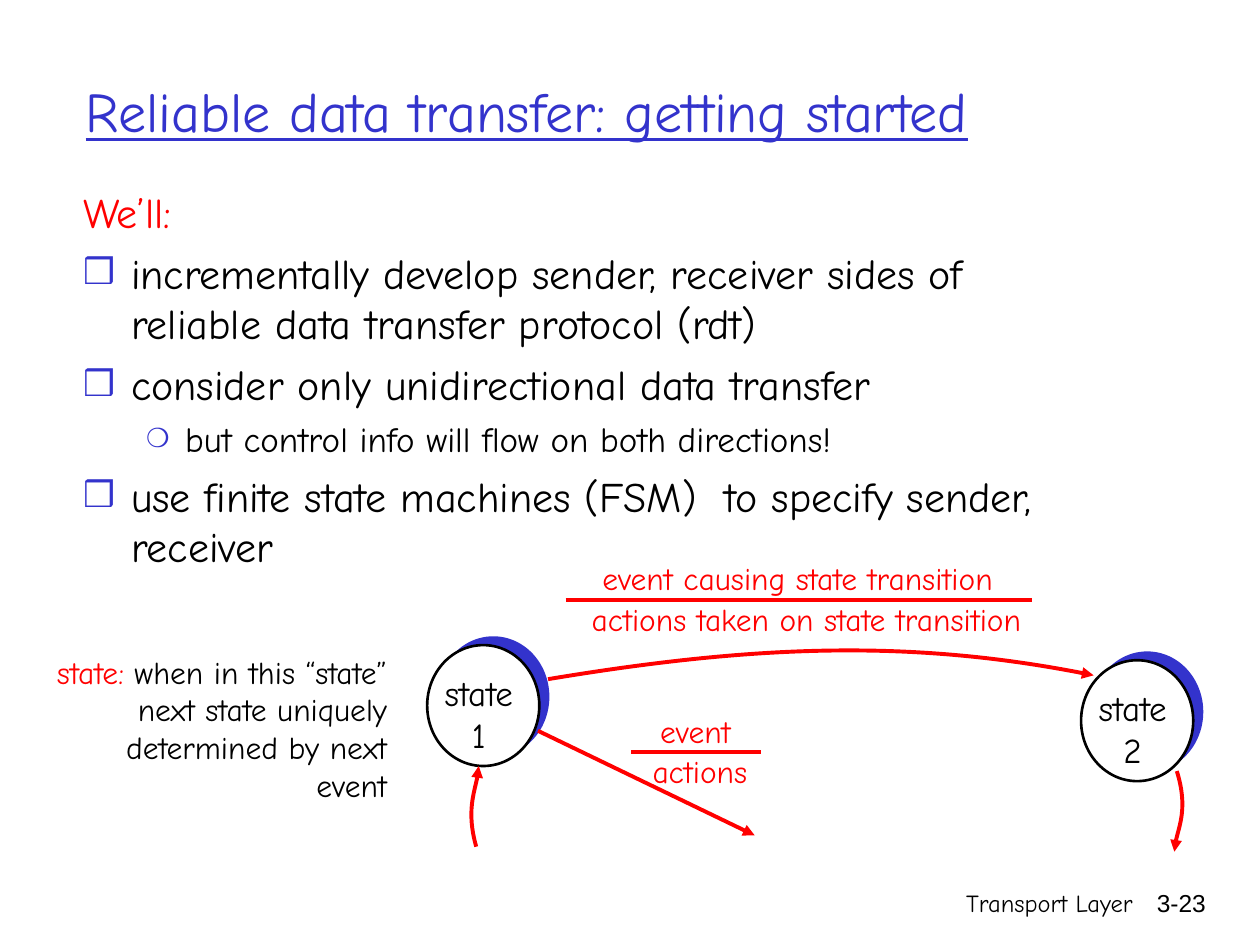
from dataclasses import dataclass

from lxml import etree
from pptx import Presentation
from pptx import util as u
from pptx.dml.color import RGBColor
from pptx.enum import shapes, text
from pptx.oxml import ns

LEFT, MID, RIGHT = text.PP_ALIGN.LEFT, text.PP_ALIGN.CENTER, text.PP_ALIGN.RIGHT


@dataclass(frozen=True)
class Theme:
    face: str = "Comic Neue"
    plain: str = "Arial"
    ink: str = "000000"
    paper: str = "FFFFFF"
    blue: str = "3333CC"
    red: str = "FF0000"
    title: int = 32
    body: int = 24
    sub: int = 20
    note: int = 18
    foot: int = 14
    edge: float = 1.5
    arrow: float = 2.25


def put(item, form):
    for key, value in form.items():
        setattr(item, key, value)


def child(home, tag, **attrs):
    return etree.SubElement(home, ns.qn(tag), attrs)


class Deck:
    def __init__(self, theme):
        self.theme = theme
        self.file = Presentation()
        put(self.file, {"slide_width": u.Inches(10), "slide_height": u.Inches(7.5)})
        self.slide = self.file.slides.add_slide(self.file.slide_layouts[1])

    def run(self, para, words, size, color=None, **form):
        font = para.add_run()
        font.text = words
        font = font.font
        put(font, {"name": self.theme.face, "size": u.Pt(size), **form})
        font.color.rgb = RGBColor.from_string(color or self.theme.ink)

    def place(self, item, box):
        put(item, dict(zip(("left", "top", "width", "height"), map(u.Inches, box))))

    def title(self, words, box):
        item = self.slide.shapes.title
        self.place(item, box)
        item.text_frame.vertical_anchor = text.MSO_ANCHOR.MIDDLE
        para = item.text_frame.paragraphs[0]
        para.alignment = LEFT
        self.run(para, words, self.theme.title, self.theme.blue, underline=True)

    def indent(self, para, left, hang):
        put_xml = para._p.get_or_add_pPr()
        put_xml.set("marL", str(u.Inches(left)))
        put_xml.set("indent", str(-u.Inches(hang)))
        return put_xml

    def body(self, rows, box):
        item = self.slide.placeholders[1]
        self.place(item, box)
        frame = item.text_frame
        frame.auto_size = text.MSO_AUTO_SIZE.NONE
        # Each kind: level, left, hang, space before, size, colour, bullet, bullet size
        t = self.theme
        kinds = {
            "lead": (0, 0.38, 0.38, 0, t.body, t.red, None, 0),
            "main": (0, 0.38, 0.38, 6, t.body, t.ink, "❒", 85),
            "sub": (1, 0.81, 0.31, 5, t.sub, t.ink, "❍", 75),
        }
        for n, (kind, words) in enumerate(rows):
            level, left, hang, gap, size, color, mark, scale = kinds[kind]
            para = frame.add_paragraph() if n else frame.paragraphs[0]
            props = self.indent(para, left, hang)
            if mark:
                child(child(props, "a:buClr"), "a:srgbClr", val=t.blue)
                child(props, "a:buSzPct", val=str(scale * 1000))
                child(props, "a:buChar", char=mark)
            else:
                child(props, "a:buNone")
            put(para, {"level": level, "alignment": LEFT, "space_before": u.Pt(gap)})
            self.run(para, words, size, color)

    def label(self, lines, box, size, color=None, align=MID, wrap=False, home=None, **form):
        item = (home or self.slide.shapes).add_textbox(*map(u.Inches, box))
        frame = item.text_frame
        fit = text.MSO_AUTO_SIZE
        put(frame, {"word_wrap": wrap, "auto_size": fit.NONE if wrap else fit.SHAPE_TO_FIT_TEXT})
        for n, words in enumerate(lines):
            para = frame.add_paragraph() if n else frame.paragraphs[0]
            para.alignment = align
            self.run(para, words, size, color, **form)
        return frame.paragraphs[0]

    def disc(self, home, box, fill, edge=None):
        item = home.add_shape(shapes.MSO_SHAPE.OVAL, *map(u.Inches, box))
        item.shadow.inherit = False
        item.fill.solid()
        item.fill.fore_color.rgb = RGBColor.from_string(fill)
        if edge:
            item.line.color.rgb = RGBColor.from_string(edge)
            item.line.width = u.Pt(self.theme.edge)
        else:
            item.line.fill.background()

    def state(self, name, x, y):
        home = self.slide.shapes.add_group_shape().shapes
        t = self.theme
        self.disc(home, (x + 0.08, y - 0.07, 0.89, 0.96), t.blue)
        self.disc(home, (x, y, 0.89, 0.96), t.paper, t.ink)
        self.label(["state", name], (x + 0.03, y + 0.16, 0.76, 0.77), t.sub, home=home)

    def stroke(self, item, head):
        item.line.color.rgb = RGBColor.from_string(self.theme.red)
        item.line.width = u.Pt(self.theme.arrow)
        if head:
            child(item.line._get_or_add_ln(), "a:tailEnd", type="triangle")

    def line(self, start, end, head=False, home=None):
        item = (home or self.slide.shapes).add_connector(
            shapes.MSO_CONNECTOR.STRAIGHT, *map(u.Inches, start + end))
        self.stroke(item, head)
        child(item._element.spPr, "a:effectLst")

    def curve(self, start, *points):
        pen = self.slide.shapes.build_freeform(*map(u.Inches, start))
        pen.add_line_segments([tuple(map(u.Inches, p)) for p in points], close=False)
        item = pen.convert_to_shape()
        # Turn the three straight segments into one Bezier segment
        track = next(item._element.iter(ns.qn("a:path")))
        bend = child(track, "a:cubicBezTo")
        for step in track.findall(ns.qn("a:lnTo")):
            bend.append(step[0])
            track.remove(step)
        item.shadow.inherit = False
        item.fill.background()
        self.stroke(item, True)

    def ratio(self, y, ends, over, under):
        home = self.slide.shapes.add_group_shape().shapes
        for (words, x, wide), rise in ((over, 0.37), (under, 0.05)):
            self.label([words], (x, y - rise, wide, 0.4), self.theme.note,
                       self.theme.red, home=home)
        self.line((ends[0], y), (ends[1], y), home=home)


def main():
    t = Theme()
    deck = Deck(t)

    # Footer
    deck.label(["Transport Layer"], (5.92, 7, 3.17, 0.5), t.foot, align=RIGHT, wrap=True)
    deck.label(["3-23"], (8.93, 7, 0.74, 0.5), t.foot, align=RIGHT, wrap=True, name=t.plain)

    # Title and list
    deck.title("Reliable data transfer: getting started", (0.58, 0.25, 8.5, 1.25))
    deck.body([
        ("lead", "We’ll:"),
        ("main", "incrementally develop sender, receiver sides of "
                 "reliable data transfer protocol (rdt)"),
        ("main", "consider only unidirectional data transfer"),
        ("sub", "but control info will flow on both directions!"),
        ("main", "use finite state machines (FSM)  to specify sender, receiver"),
    ], (0.56, 1.43, 7.94, 3.67))

    # States
    deck.state("1", 3.39, 5.12)
    deck.state("2", 8.58, 5.24)

    # Transitions
    deck.curve((4.35, 5.39), (5.97, 5.12), (7.26, 5.07), (8.68, 5.36))
    deck.curve((3.78, 6.72), (3.7, 6.44), (3.8, 6.18), (3.8, 6.08))
    deck.curve((9.34, 6.12), (9.43, 6.41), (9.32, 6.66), (9.32, 6.76))
    deck.line((4.27, 5.8), (5.99, 6.63), head=True)

    # Event over action labels
    deck.ratio(4.76, (4.49, 8.19), ("event causing state transition", 4.67, 3.32),
               ("actions taken on state transition", 4.58, 3.64))
    deck.ratio(5.97, (5.01, 6.04), ("event", 5.14, 0.76), ("actions", 5.08, 0.95))

    # Meaning of a state
    para = deck.label(["state:"], (0.14, 5.13, 3.03, 1.35), t.note, t.red, RIGHT, True)
    deck.indent(para, 0.38, 0.38)
    deck.run(para, " when in this “state” next state uniquely determined by next event", t.note)

    deck.file.save("out.pptx")


if __name__ == "__main__":
    main()
